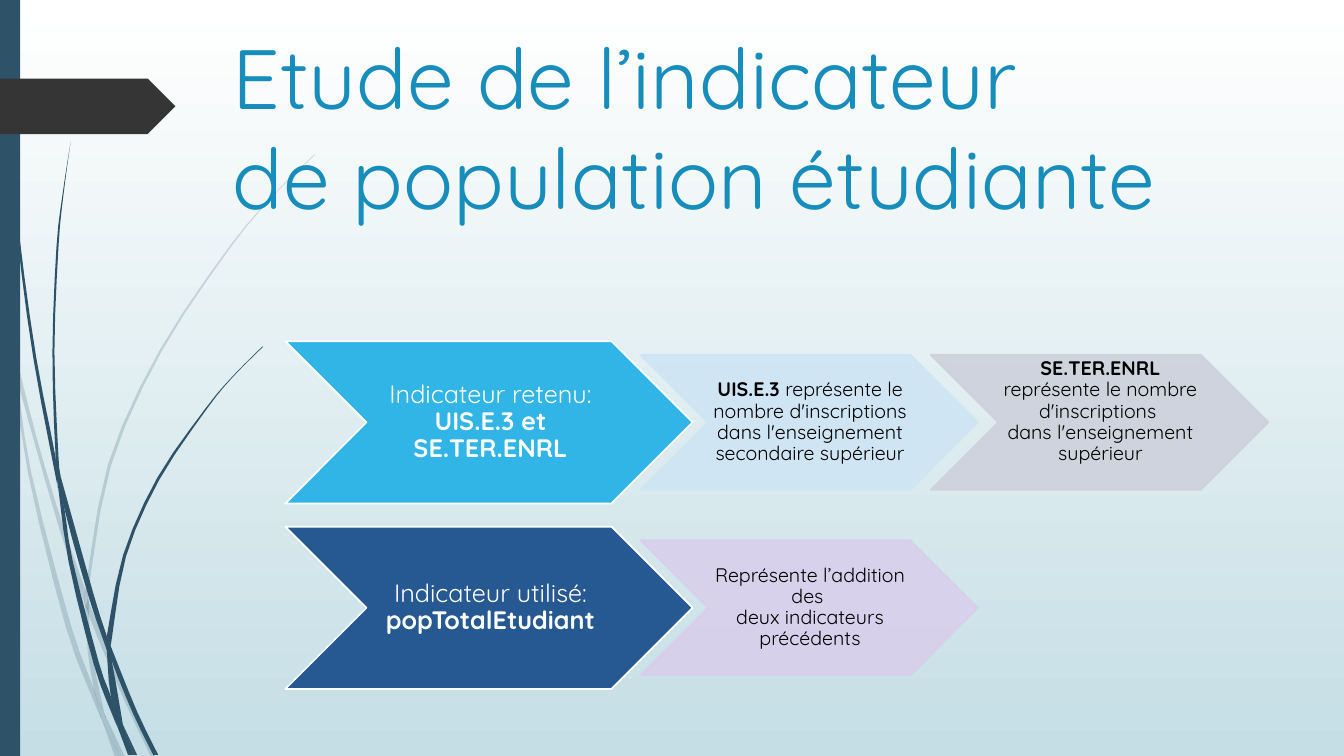
from dataclasses import dataclass

import pptx
import pptx.dml.color
import pptx.enum.shapes
import pptx.enum.text
import pptx.oxml.ns
import pptx.util
from lxml import etree
from pptx.util import Inches

Shapes = pptx.enum.shapes.MSO_SHAPE
Point = tuple[float, float]


@dataclass(frozen=True)
class Theme:
    """Colours, font and type sizes of the slide."""
    font: str = "Quicksand"
    title_size: int = 60
    main_size: int = 18
    detail_size: int = 14
    title: str = "178DBB"
    sky_top: str = "FFFFFF"
    sky_bottom: str = "C5DEE5"
    plant: str = "2E5369"
    faint: int = 20
    tag: str = "353535"
    white: str = "FFFFFF"
    black: str = "000000"
    cyan: str = "31B4E6"
    navy: str = "265991"
    pale_blue: str = "CEE5F5"
    pale_grey: str = "CDD1DC"
    pale_violet: str = "D8CFEC"


@dataclass(frozen=True)
class Blade:
    """A piece of grass between two edges, each listed downwards."""
    left: list[Point]
    right: list[Point]


@dataclass(frozen=True)
class Step:
    """A chevron with (text, bold) spans; column 0 holds the large one."""
    row: int
    column: int
    color: str
    spans: list[tuple[str, bool]]
    lift: float = 0


THEME = Theme()
FAINT_BLADES = [
    Blade([(0, 2.82), (0, 2.99), (0.1, 3.44), (0.11, 3.5)], [(0, 2.82), (0.09, 3.22), (0.11, 3.5)]),
    Blade([(0.14, 3.45), (0.17, 3.76), (0.58, 5.22), (0.84, 5.99)],
          [(0.14, 3.45), (0.36, 4.33), (0.62, 5.2), (0.85, 5.86)]),
    Blade([(0.88, 5.96), (0.88, 6.1), (1.23, 6.94), (1.5, 7.51)],
          [(0.88, 5.96), (0.92, 6.07), (1.27, 6.92), (1.55, 7.51)]),
    Blade([(1.05, 7.11), (1.19, 7.51)], [(1.05, 7.11), (1.24, 7.51)]),
    Blade([(0.11, 3.5), (0.28, 4.7), (0.65, 6.21), (0.92, 6.93), (1.01, 7.14)],
          [(0.11, 3.5), (0.17, 3.76), (0.31, 4.69), (0.7, 6.19), (0.93, 6.83), (0.99, 7.07)]),
    Blade([(0.84, 5.99), (0.87, 6.46), (0.93, 6.83), (0.96, 6.92), (1.05, 7.11)],
          [(0.84, 5.99), (0.88, 6.08), (0.91, 6.46), (1.03, 7.06), (1.05, 7.11)]),
    Blade([(3.12, 1.53), (2.89, 1.75), (2.68, 1.97), (2.28, 2.44), (1.58, 3.48), (1.07, 4.61),
           (0.85, 5.84), (0.85, 5.86)],
          [(3.12, 1.54), (2.9, 1.75), (2.68, 1.98), (2.29, 2.45), (1.6, 3.49), (1.1, 4.62),
           (0.88, 5.84), (0.88, 5.96)]),
    Blade([(1.01, 7.14), (1.14, 7.51)], [(1.01, 7.14), (1.19, 7.51)]),
    Blade([(0.85, 5.86), (0.84, 5.99), (0.88, 6.08)], [(0.85, 5.86), (0.88, 5.96), (0.88, 6.1)]),
    Blade([(0.93, 6.83), (0.99, 7.07), (1.01, 7.14), (1.19, 7.51)],
          [(0.93, 6.83), (0.96, 6.92), (1.05, 7.11), (1.19, 7.51)]),
]
DARK_BLADES = [
    Blade([(0.03, 0), (0.04, 0.48), (0.07, 1.1), (0.17, 2.33), (0.33, 3.55), (0.56, 4.77), (0.57, 4.81)],
          [(0.04, 0), (0.05, 0.48), (0.08, 1.09), (0.19, 2.32), (0.36, 3.55), (0.55, 4.53), (0.57, 4.81)]),
    Blade([(0.6, 4.72), (0.64, 5.05), (0.88, 5.92), (1.06, 6.45)],
          [(0.6, 4.72), (0.93, 5.9), (1.06, 6.31)]),
    Blade([(1.1, 6.41), (1.11, 6.56), (1.32, 7.08), (1.52, 7.49)],
          [(1.1, 6.41), (1.13, 6.49), (1.36, 7.06), (1.57, 7.49)]),
    Blade([(0.57, 4.77), (0.68, 5.57), (0.93, 6.59), (1.11, 7.08), (1.17, 7.22)],
          [(0.57, 4.77), (0.64, 5.05), (0.72, 5.56), (0.98, 6.57), (1.1, 6.91), (1.16, 7.17)]),
    Blade([(0.7, 1.41), (0.62, 1.93), (0.56, 2.45), (0.52, 3.49), (0.55, 4.49), (0.6, 4.72)],
          [(0.7, 1.41), (0.63, 1.93), (0.58, 2.45), (0.54, 3.49), (0.58, 4.53), (0.6, 4.72)]),
    Blade([(1.22, 7.19), (1.33, 7.49)], [(1.22, 7.19), (1.36, 7.49)]),
    Blade([(0.55, 4.49), (0.57, 4.77), (0.64, 5.05)], [(0.55, 4.49), (0.6, 4.72), (0.64, 5.05)]),
    Blade([(2.6, 3.44), (2.31, 3.73), (2.04, 4.05), (1.56, 4.74), (1.22, 5.51), (1.06, 6.31)],
          [(2.61, 3.44), (2.31, 3.74), (2.05, 4.06), (1.58, 4.76), (1.25, 5.52), (1.11, 6.33), (1.1, 6.41)]),
    Blade([(1.17, 7.22), (1.27, 7.49)], [(1.17, 7.22), (1.31, 7.49)]),
    Blade([(1.06, 6.45), (1.1, 6.91), (1.22, 7.19)], [(1.06, 6.45), (1.11, 6.56), (1.22, 7.19)]),
    Blade([(1.06, 6.31), (1.06, 6.45), (1.11, 6.56)], [(1.06, 6.31), (1.1, 6.41), (1.11, 6.56)]),
    Blade([(1.1, 6.91), (1.17, 7.22), (1.3, 7.49)], [(1.1, 6.91), (1.22, 7.19), (1.33, 7.49)]),
]
STEPS = [
    Step(0, 0, THEME.cyan, [("Indicateur retenu: ", False), ("UIS.E.3 et SE.TER.ENRL", True)]),
    Step(0, 1, THEME.pale_blue, [("UIS.E.3 ", True), (
        "représente le nombre d'inscriptions dans l'enseignement secondaire supérieur", False)]),
    Step(0, 2, THEME.pale_grey, [("SE.TER.ENRL", True), (
        " représente le nombre d'inscriptions \ndans l'enseignement supérieur", False)], lift=0.21),
    Step(1, 0, THEME.navy, [("Indicateur utilisé: ", False), ("popTotalEtudiant", True)]),
    Step(1, 1, THEME.pale_violet, [
        ("Représente l’addition des \ndeux indicateurs précédents", False)]),
]


def rgb(color: str) -> pptx.dml.color.RGBColor:
    """Turn a hex string into a colour."""
    return pptx.dml.color.RGBColor.from_string(color)


def paint(fill, color: str, opacity: int = 100) -> None:
    """Fill with one colour, see-through when opacity is below 100."""
    fill.solid()
    fill.fore_color.rgb = rgb(color)
    if opacity < 100:
        node = fill._xPr.find(".//" + pptx.oxml.ns.qn("a:srgbClr"))
        etree.SubElement(node, pptx.oxml.ns.qn("a:alpha"), val=str(opacity * 1000))


def style(shape, color: str, opacity: int = 100) -> None:
    """Give a shape a plain fill without outline or shadow."""
    shape.shadow.inherit = False
    paint(shape.fill, color, opacity)
    shape.line.fill.background()


def add_shape(page, kind, left: float, top: float, width: float, height: float):
    """Add a preset shape placed in inches."""
    return page.shapes.add_shape(kind, *map(Inches, (left, top, width, height)))


def smooth(points: list[Point], steps: int = 3) -> list[Point]:
    """Run a Catmull-Rom curve through the points, if there are more than two."""
    if len(points) < 3:
        return points
    padded = [points[0], *points, points[-1]]
    curve = [points[0]]
    for corners in zip(padded, padded[1:], padded[2:], padded[3:]):
        for t in (step / steps for step in range(1, steps + 1)):
            curve.append(tuple(
                q + t * (r - p) / 2 + t * t * (2 * p - 5 * q + 4 * r - s) / 2
                + t ** 3 * (3 * q - p - 3 * r + s) / 2 for p, q, r, s in zip(*corners)))
    return curve


def add_blade(page, blade: Blade, opacity: int) -> None:
    """Draw one piece of grass."""
    outline = [(Inches(x), Inches(y)) for x, y in smooth(blade.left) + smooth(blade.right)[::-1]]
    builder = page.shapes.build_freeform(*outline[0])
    builder.add_line_segments(outline[1:], close=True)
    style(builder.convert_to_shape(), THEME.plant, opacity)


def write(para, size: int, color: str, spans: list[tuple[str, bool]]) -> None:
    """Set a paragraph's font and add its spans, breaking at newlines."""
    para.font.name = THEME.font
    para.font.size = pptx.util.Pt(size)
    para.font.color.rgb = rgb(color)
    for text, bold in spans:
        for index, line in enumerate(text.split("\n")):
            if index:
                para.add_line_break()
            span = para.add_run()
            span.text = line
            span.font.bold = bold


def add_step(page, step: Step) -> None:
    """Draw one chevron with its text."""
    large = step.column == 0
    width, height = (4.04, 1.61) if large else (3.35, 1.34)
    left = 2.83 if large else 6.35 + (step.column - 1) * 2.88
    top = 4.19 + step.row * 1.84 - height / 2
    box = add_shape(page, Shapes.CHEVRON, left, top, width, height)
    opacity = 100 if large else 90
    style(box, step.color, opacity)
    paint(box.line.fill, THEME.white if large else step.color, opacity)
    box.line.width = pptx.util.Pt(1.25)
    frame = box.text_frame
    frame.word_wrap = True
    frame.vertical_anchor = pptx.enum.text.MSO_ANCHOR.MIDDLE
    frame.margin_left, frame.margin_right = Inches(0.03 if large else 0.02), 0
    frame.margin_top, frame.margin_bottom = Inches(0.01), Inches(0.01 + step.lift)
    para = frame.paragraphs[0]
    para.alignment = pptx.enum.text.PP_ALIGN.CENTER
    para.line_spacing = 0.9
    size, color = (THEME.main_size, THEME.white) if large else (THEME.detail_size, THEME.black)
    write(para, size, color, step.spans)


deck = pptx.Presentation()
deck.slide_width, deck.slide_height = Inches(13.33), Inches(7.5)
page = deck.slides.add_slide(deck.slide_layouts[6])
sky = page.background.fill
sky.gradient()
sky.gradient_angle = 270
for stop, color in zip(sky.gradient_stops, (THEME.sky_top, THEME.sky_bottom)):
    stop.color.rgb = rgb(color)
for blades, opacity in ((FAINT_BLADES, THEME.faint), (DARK_BLADES, 100)):
    for blade in blades:
        add_blade(page, blade, opacity)
style(add_shape(page, Shapes.RECTANGLE, 0, 0, 0.2, 7.5), THEME.plant)
style(add_shape(page, Shapes.PENTAGON, 0, 0.78, 1.74, 0.55), THEME.tag)
title = page.shapes.add_textbox(*map(Inches, (2.21, 0.2, 10.38, 2.23))).text_frame
title.word_wrap = True
write(title.paragraphs[0], THEME.title_size, THEME.title,
      [("Etude de l’indicateur \nde population étudiante", False)])
for step in STEPS:
    add_step(page, step)
deck.save("out.pptx")
